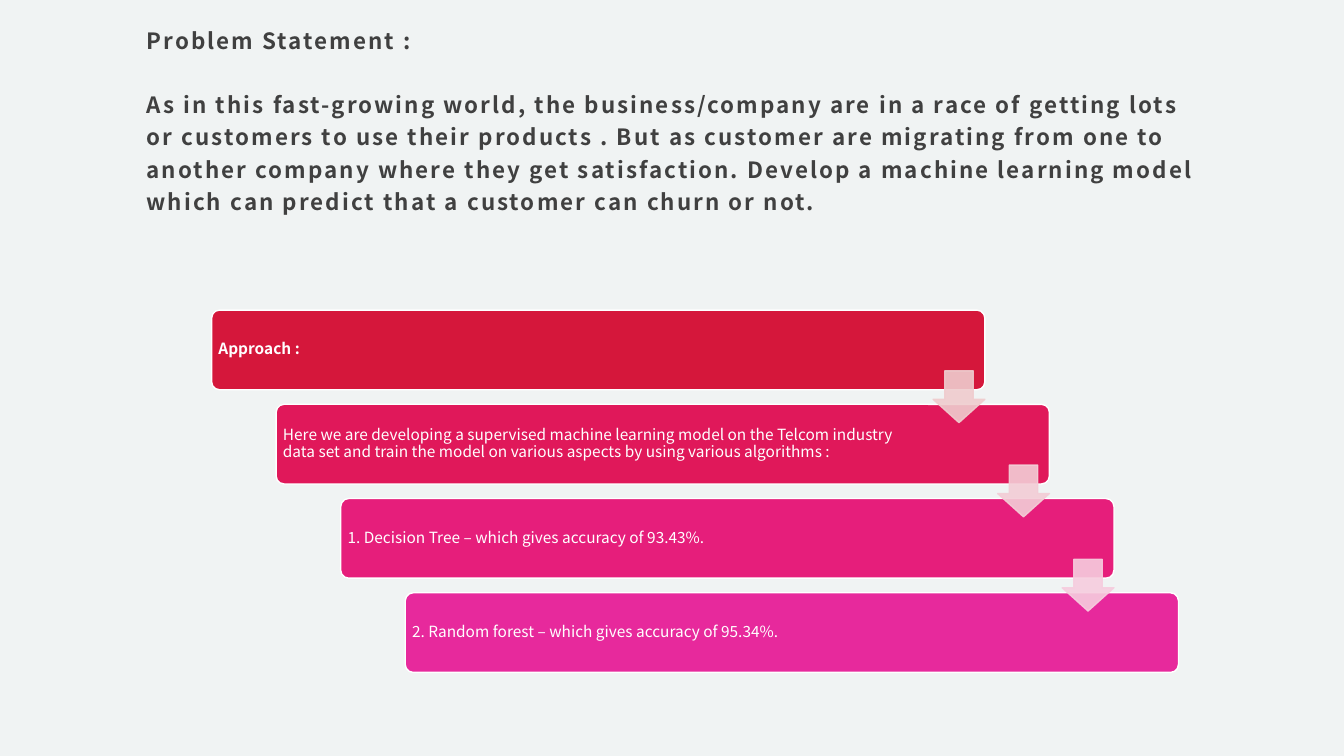
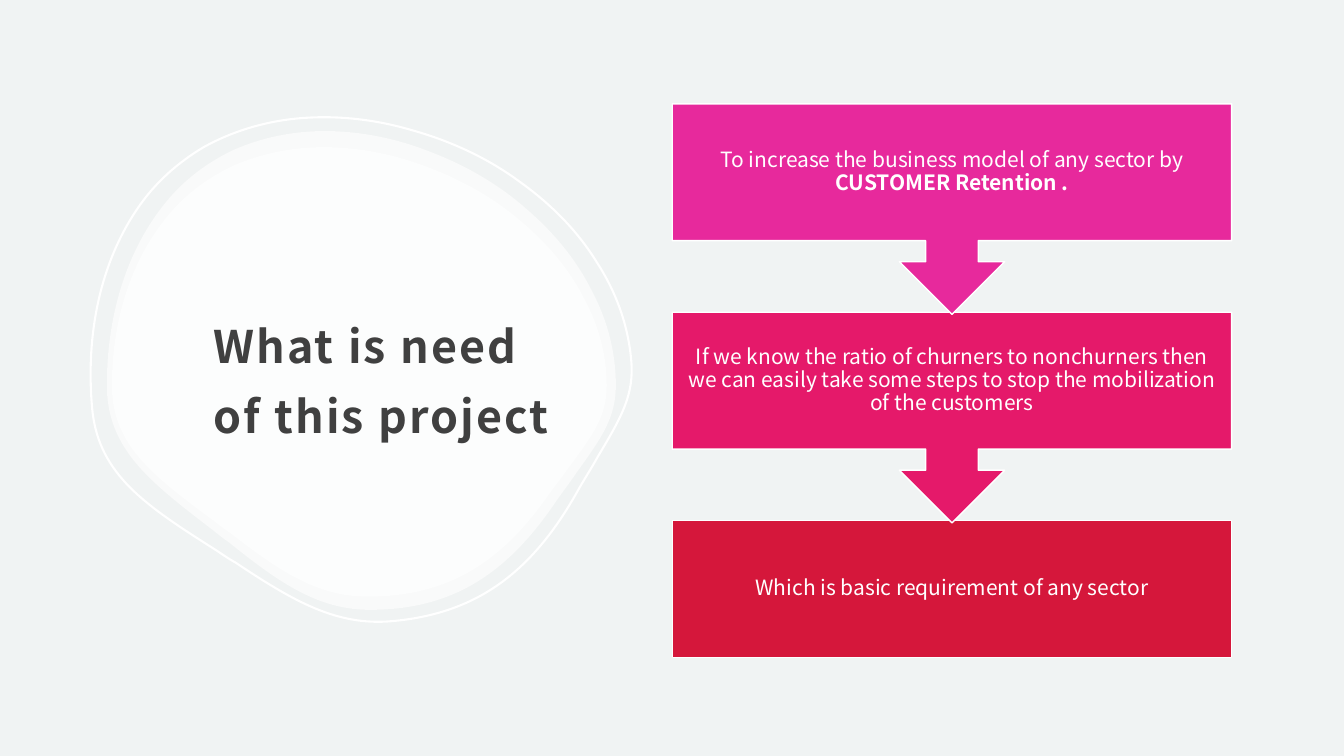
from copy import deepcopy
from dataclasses import dataclass
from typing import NamedTuple

from lxml.etree import SubElement
from pptx import Presentation
from pptx.dml.color import RGBColor
from pptx.enum.shapes import MSO_SHAPE as Preset
from pptx.enum.text import MSO_ANCHOR as Anchor, PP_ALIGN as Align
from pptx.oxml.ns import qn
from pptx.util import Pt


@dataclass(frozen=True)
class Theme:
    font: str = "Noto Sans CJK JP"
    background: str = "F0F3F3"
    title: str = "404040"
    white: str = "FFFFFF"
    crimson: str = "D5173B"
    rose: str = "E0185A"
    raspberry: str = "E5196A"
    magenta: str = "E61E7B"
    pink: str = "E7299C"
    statement_size: int = 16
    heading_size: int = 32
    step_size: int = 11
    reason_size: int = 15
    body_spacing: float = 0.9
    title_tracking: float = 1.5
    line_width: float = 1


THEME = Theme()


class Frame(NamedTuple):
    left: float
    top: float
    width: float
    height: float


class Insets(NamedTuple):
    left: float
    top: float
    right: float
    bottom: float


class Span(NamedTuple):
    text: str
    bold: bool = False


class Step(NamedTuple):
    span: Span
    fill: str
    arrow: str = ""


class Reason(NamedTuple):
    spans: list[Span]
    fill: str
    preset: Preset
    height: float


class Blob(NamedTuple):
    frame: Frame
    rotation: float = 0
    filled: bool = True


TITLE_INSETS = Insets(8.64, 8.64, 8.64, 7.2)
STEP_INSETS = Insets(3.2, 3.3, 86, 3.3)
REASON_INSETS = Insets(8.5, 8.5, 8.5, 8.5)

STATEMENT = [
    "Problem Statement :",
    "",
    "As in this fast-growing world, the business/company are in a race of getting "
    "lots or customers to use their products . But as customer are migrating from "
    "one to another company where they get satisfaction. Develop a machine learning "
    "model which can predict that a customer can churn or not.",
]

STEPS = [
    Step(Span("Approach :", True), THEME.crimson, "EFCCCE"),
    Step(Span("Here we are developing a supervised machine learning model on the Telcom "
              "industry data set and train the model on various aspects by using various "
              "algorithms :"), THEME.rose, "F3CDD6"),
    Step(Span("1. Decision Tree – which gives accuracy of 93.43%."),
         THEME.magenta, "F6CDDE"),
    Step(Span("2. Random forest – which gives accuracy of 95.34%."), THEME.pink),
]
FIRST_STEP = Frame(151.2, 221.5, 552.3, 56.9)
STEP_SHIFT = (46.1, 67.3)
ARROW_SIDE = 37
ARROW_DROP = 43.4

REASONS = [
    Reason([Span("To increase the business model of any sector by "),
            Span("CUSTOMER Retention .", True)],
           THEME.pink, Preset.DOWN_ARROW_CALLOUT, 150.4),
    Reason([Span("If we know the ratio of churners to nonchurners then we can easily "
                 "take some steps to stop the mobilization of the customers")],
           THEME.raspberry, Preset.DOWN_ARROW_CALLOUT, 150.4),
    Reason([Span("Which is basic requirement of any sector")],
           THEME.crimson, Preset.RECTANGLE, 97.8),
]
REASON_LEFT, REASON_TOP, REASON_WIDTH, REASON_PITCH = 480.2, 74.2, 399.6, 148.9

# Bezier outline on a 505 x 475 grid: start, then two handles and an end per curve.
BLOB_START = (216, 0)
BLOB_CURVES = [
    ((183, 0), (152, 7), (125, 19)),
    ((100, 31), (77, 48), (59, 70)),
    ((21, 116), (0, 180), (0, 252)),
    ((0, 280), (8, 303), (26, 326)),
    ((45, 350), (74, 372), (104, 395)),
    ((109, 399), (115, 404), (121, 408)),
    ((172, 449), (210, 475), (261, 475)),
    ((339, 475), (395, 443), (446, 367)),
    ((453, 357), (460, 348), (466, 339)),
    ((492, 303), (505, 284), (505, 252)),
    ((505, 220), (497, 188), (481, 158)),
    ((466, 128), (444, 101), (416, 77)),
    ((389, 53), (356, 34), (322, 21)),
    ((287, 7), (251, 0), BLOB_START),
]
BLOBS = [
    Blob(Frame(76.3, 93.6, 363.6, 342)),
    Blob(Frame(79.9, 105.1, 353.5, 321.1)),
    Blob(Frame(64.1, 81.4, 386.6, 363.6), -5, False),
]
BLOB_OPACITY = 60
ARROW_OPACITY = 90


def points(lengths: tuple) -> list:
    return [Pt(length) for length in lengths]


def new_page(deck):
    page = deck.slides.add_slide(deck.slide_layouts[6])
    page.background.fill.solid()
    page.background.fill.fore_color.rgb = RGBColor.from_string(THEME.background)
    return page


def paint(shape, fill: str | None, line: str | None,
          width: float = THEME.line_width, opacity: int = 100) -> None:
    shape.shadow.inherit = False
    if fill:
        shape.fill.solid()
        shape.fill.fore_color.rgb = RGBColor.from_string(fill)
    else:
        shape.fill.background()
    if line:
        shape.line.color.rgb = RGBColor.from_string(line)
        shape.line.width = Pt(width)
    else:
        shape.line.fill.background()
    if opacity < 100:
        for color in shape._element.spPr.iter(qn("a:srgbClr")):
            SubElement(color, qn("a:alpha")).set("val", str(opacity * 1000))


def prepare(box, insets: Insets, align: Align, spacing: float):
    """Set up the text frame of a box and return its first paragraph."""
    frame = box.text_frame
    frame.word_wrap = True
    frame.vertical_anchor = Anchor.MIDDLE
    frame.margin_left, frame.margin_top, frame.margin_right, frame.margin_bottom = (
        points(insets))
    para = frame.paragraphs[0]
    para.alignment = align
    para.line_spacing = spacing
    return para


def add_span(para, span: Span, size: float, color: str):
    run = para.add_run()
    run.text = span.text
    run.font.name = THEME.font
    run.font.size = Pt(size)
    run.font.bold = span.bold
    run.font.color.rgb = RGBColor.from_string(color)
    return run


def add_title(page, frame: Frame, lines: list[str], size: float, spacing: float) -> None:
    box = page.shapes.add_textbox(*points(frame))
    para = prepare(box, TITLE_INSETS, Align.LEFT, spacing)
    for index, line in enumerate(lines):
        if index:
            para.add_line_break()
        if line:
            run = add_span(para, Span(line, True), size, THEME.title)
            run._r.get_or_add_rPr().set("spc", str(int(THEME.title_tracking * 100)))
    for line_break in para._p.iterfind(qn("a:br")):
        line_break.append(deepcopy(para.runs[0]._r.get_or_add_rPr()))


def add_steps(page) -> None:
    frames = [FIRST_STEP._replace(left=FIRST_STEP.left + index * STEP_SHIFT[0],
                                  top=FIRST_STEP.top + index * STEP_SHIFT[1])
              for index in range(len(STEPS))]
    for step, frame in zip(STEPS, frames):
        band = page.shapes.add_shape(Preset.ROUNDED_RECTANGLE, *points(frame))
        band.adjustments[0] = 0.1
        paint(band, step.fill, THEME.white)
        para = prepare(band, STEP_INSETS, Align.LEFT, THEME.body_spacing)
        add_span(para, step.span, THEME.step_size, THEME.white)
    for step, frame in zip(STEPS, frames):
        if step.arrow:
            place = Frame(frame.left + frame.width - ARROW_SIDE, frame.top + ARROW_DROP,
                          ARROW_SIDE, ARROW_SIDE)
            arrow = page.shapes.add_shape(Preset.DOWN_ARROW, *points(place))
            arrow.adjustments[0], arrow.adjustments[1] = 0.55, 0.45
            paint(arrow, step.arrow, step.arrow, opacity=ARROW_OPACITY)


def bend_segments(shape) -> None:
    """Turn the straight segments of a blob into its Bezier curves."""
    segments = list(shape._element.iter(qn("a:lnTo")))
    for segment, curve in zip(segments, BLOB_CURVES):
        bend = segment.getparent().makeelement(qn("a:cubicBezTo"))
        for corner in curve:
            left, top = points(corner)
            SubElement(bend, qn("a:pt"), x=str(left), y=str(top))
        segment.getparent().replace(segment, bend)


def add_blob(page, blob: Blob) -> None:
    builder = page.shapes.build_freeform(*points(BLOB_START))
    builder.add_line_segments([points(end) for _, _, end in BLOB_CURVES], close=True)
    shape = builder.convert_to_shape()
    bend_segments(shape)
    shape.left, shape.top, shape.width, shape.height = points(blob.frame)
    shape.rotation = blob.rotation
    if blob.filled:
        paint(shape, THEME.white, None, opacity=BLOB_OPACITY)
    else:
        paint(shape, None, THEME.white, 1.5)


def add_reasons(page) -> None:
    """Stack from the bottom up, so each arrow tip lies over the box below it."""
    for index, reason in reversed(list(enumerate(REASONS))):
        frame = Frame(REASON_LEFT, REASON_TOP + index * REASON_PITCH,
                      REASON_WIDTH, reason.height)
        box = page.shapes.add_shape(reason.preset, *points(frame))
        paint(box, reason.fill, THEME.white)
        para = prepare(box, REASON_INSETS, Align.CENTER, THEME.body_spacing)
        for span in reason.spans:
            add_span(para, span, THEME.reason_size, THEME.white)


def main() -> None:
    deck = Presentation()
    deck.slide_width, deck.slide_height = Pt(960), Pt(540)

    approach = new_page(deck)
    add_title(approach, Frame(96, 42.6, 768, 82), STATEMENT, THEME.statement_size, 1.2)
    add_steps(approach)

    need = new_page(deck)
    for blob in BLOBS:
        add_blob(need, blob)
    add_title(need, Frame(143.8, 149.8, 261, 231), ["What is need of this project"],
              THEME.heading_size, 1.3)
    add_reasons(need)

    deck.save("out.pptx")


if __name__ == "__main__":
    main()
